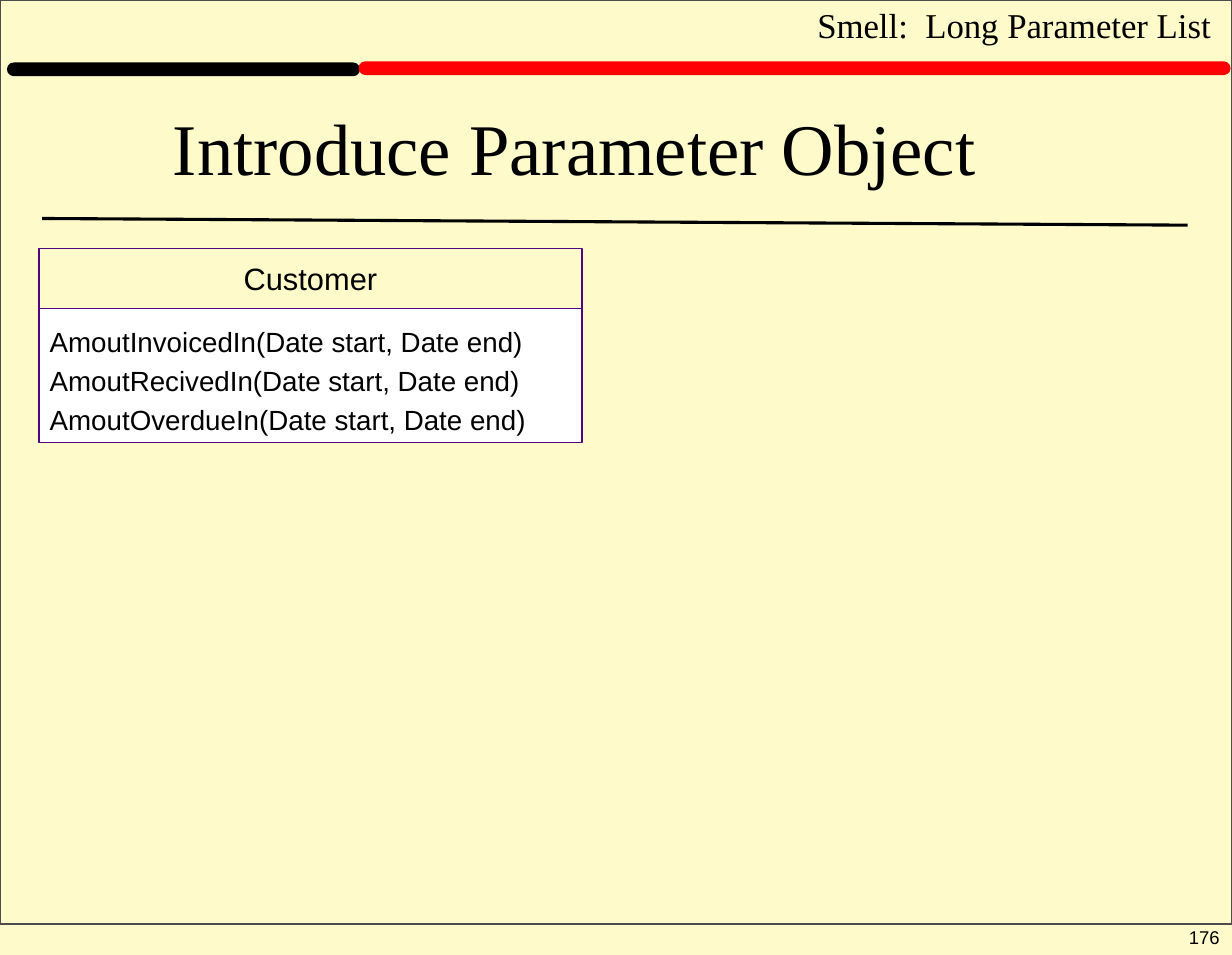
from dataclasses import dataclass

from lxml import etree
from pptx import Presentation
from pptx.dml.color import RGBColor
from pptx.enum import shapes, text
from pptx.oxml import ns
from pptx.util import Inches, Pt


@dataclass(frozen=True)
class Theme:
    paper: str = "FEFAC9"
    ink: str = "000000"
    accent: str = "FF0005"
    outline: str = "510383"
    panel: str = "FFFFFF"
    frame: str = "4C4C4C"
    serif: str = "Times New Roman"
    sans: str = "Arial"
    topic_size: float = 22.6
    title_size: float = 47.2
    class_size: float = 20
    method_size: float = 18
    number_size: float = 12
    serif_spacing: float = 1.06
    method_gap: float = 3.5


THEME = Theme()
WIDTH, HEIGHT = 11.11, 8.61


def color(value):
    return RGBColor.from_string(value)


def add_box(page, kind, box, fill, line):
    shape = page.shapes.add_shape(kind, *map(Inches, box))
    shape.shadow.inherit = False
    if fill:
        shape.fill.solid()
        shape.fill.fore_color.rgb = color(fill)
    else:
        shape.fill.background()
    shape.line.color.rgb = color(line)
    shape.line.width = Pt(1)
    return shape


def write(shape, lines, size, font, spacing=None, gap=0,
          align=text.PP_ALIGN.LEFT, anchor=text.MSO_ANCHOR.TOP, insets=(0, 0)):
    frame = shape.text_frame
    frame.word_wrap = True
    frame.vertical_anchor = anchor
    frame.margin_left, frame.margin_top = map(Inches, insets)
    frame.margin_right = frame.margin_bottom = 0
    for index, line in enumerate(lines):
        para = frame.add_paragraph() if index else frame.paragraphs[0]
        para.alignment = align
        if spacing:
            para.line_spacing = spacing
        if index:
            para.space_before = Pt(gap)
        span = para.add_run()
        span.text = line
        span.font.size = Pt(size)
        span.font.name = font
        span.font.color.rgb = color(THEME.ink)


def add_label(page, box, line, size, font, spacing=None):
    label = page.shapes.add_textbox(*map(Inches, box))
    write(label, [line], size, font, spacing)


def add_header(page, box, topic):
    left, top, width, height = box
    bar_height, black_width = 0.11, 3.17
    bars = [
        (left, top + height - bar_height, black_width, THEME.ink),
        (left + black_width, top + height - bar_height - 0.01,
         width - black_width, THEME.accent),
    ]
    for bar_left, bar_top, bar_width, fill in bars:
        bar = add_box(page, shapes.MSO_SHAPE.ROUNDED_RECTANGLE,
                      (bar_left, bar_top, bar_width, bar_height), fill, fill)
        bar.adjustments[0] = 0.5
    add_label(page, (left + 7.3, top, width - 7.3, 0.4), topic,
              THEME.topic_size, THEME.serif, THEME.serif_spacing)


def add_title(page, box, title):
    left, top, width, height = box
    bottom = top + height
    rule = page.shapes.add_connector(
        shapes.MSO_CONNECTOR.STRAIGHT, Inches(left), Inches(bottom - 0.06),
        Inches(left + width), Inches(bottom))
    rule.line.color.rgb = color(THEME.ink)
    rule.line.width = Pt(2)
    etree.SubElement(rule.element.spPr, ns.qn("a:effectLst"))
    add_label(page, (left + 1.18, top, 8.42, 0.8), title,
              THEME.title_size, THEME.serif, THEME.serif_spacing)


def add_class(page, box, name, methods):
    left, top, width, height = box
    name_height = 0.54
    rectangle = shapes.MSO_SHAPE.RECTANGLE
    head = add_box(page, rectangle, (left, top, width, name_height),
                   None, THEME.outline)
    write(head, [name], THEME.class_size, THEME.sans,
          align=text.PP_ALIGN.CENTER, anchor=text.MSO_ANCHOR.MIDDLE)
    body = add_box(page, rectangle,
                   (left, top + name_height, width, height - name_height),
                   THEME.panel, THEME.outline)
    write(body, methods, THEME.method_size, THEME.sans,
          gap=THEME.method_gap, insets=(0.1, 0.15))


def add_frame(page, box, number):
    left, top, width, height = box
    add_box(page, shapes.MSO_SHAPE.RECTANGLE, box, None, THEME.frame)
    add_label(page, (left + width - 0.39, top + height + 0.02, 0.39, 0.2),
              number, THEME.number_size, THEME.sans)


def main():
    deck = Presentation()
    deck.slide_width, deck.slide_height = Inches(WIDTH), Inches(HEIGHT)
    page = deck.slides.add_slide(deck.slide_layouts[6])
    page.background.fill.solid()
    page.background.fill.fore_color.rgb = color(THEME.paper)
    add_frame(page, (0, 0, WIDTH, 8.33), "176")
    add_header(page, (0.07, 0.01, 11.02, 0.67), "Smell:  Long Parameter List")
    add_title(page, (0.38, 0.88, 10.33, 1.15), "Introduce Parameter Object")
    add_class(page, (0.35, 2.24, 4.9, 1.75), "Customer", [
        "AmoutInvoicedIn(Date start, Date end)",
        "AmoutRecivedIn(Date start, Date end)",
        "AmoutOverdueIn(Date start, Date end)",
    ])
    deck.save("out.pptx")


if __name__ == "__main__":
    main()
